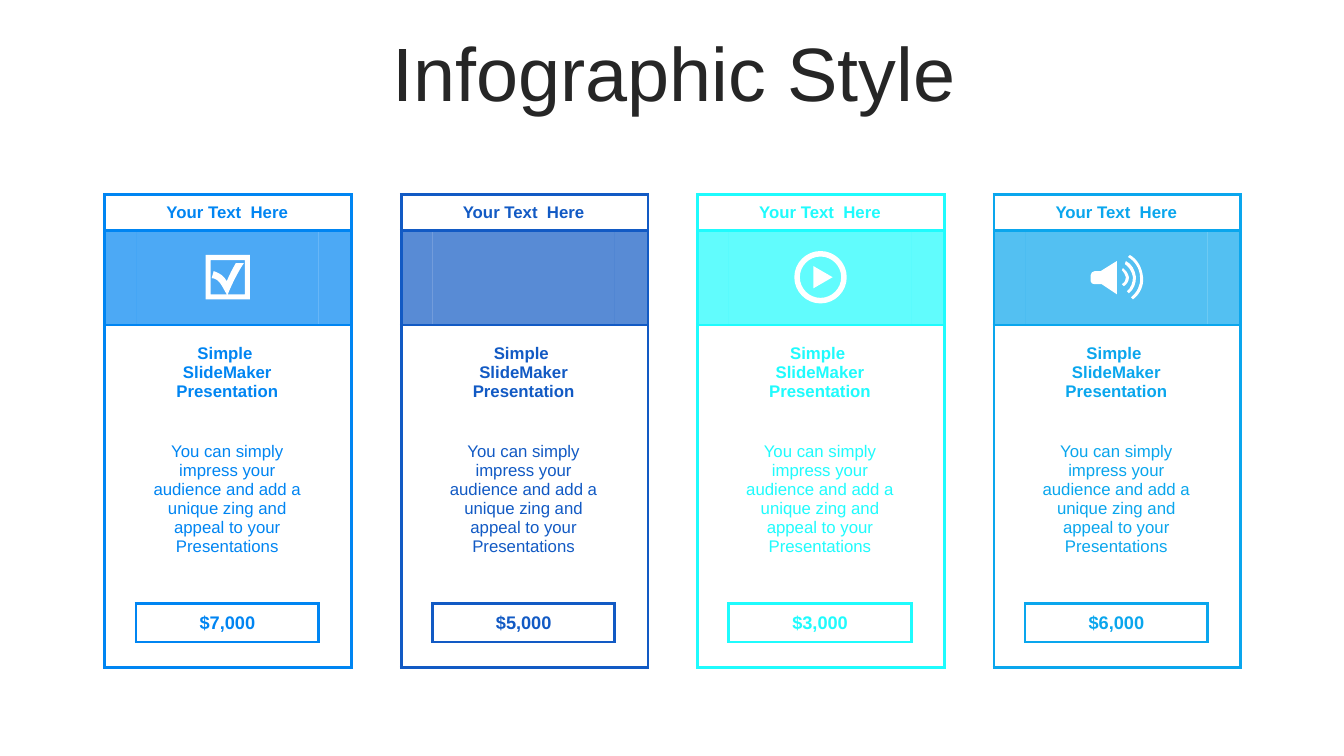
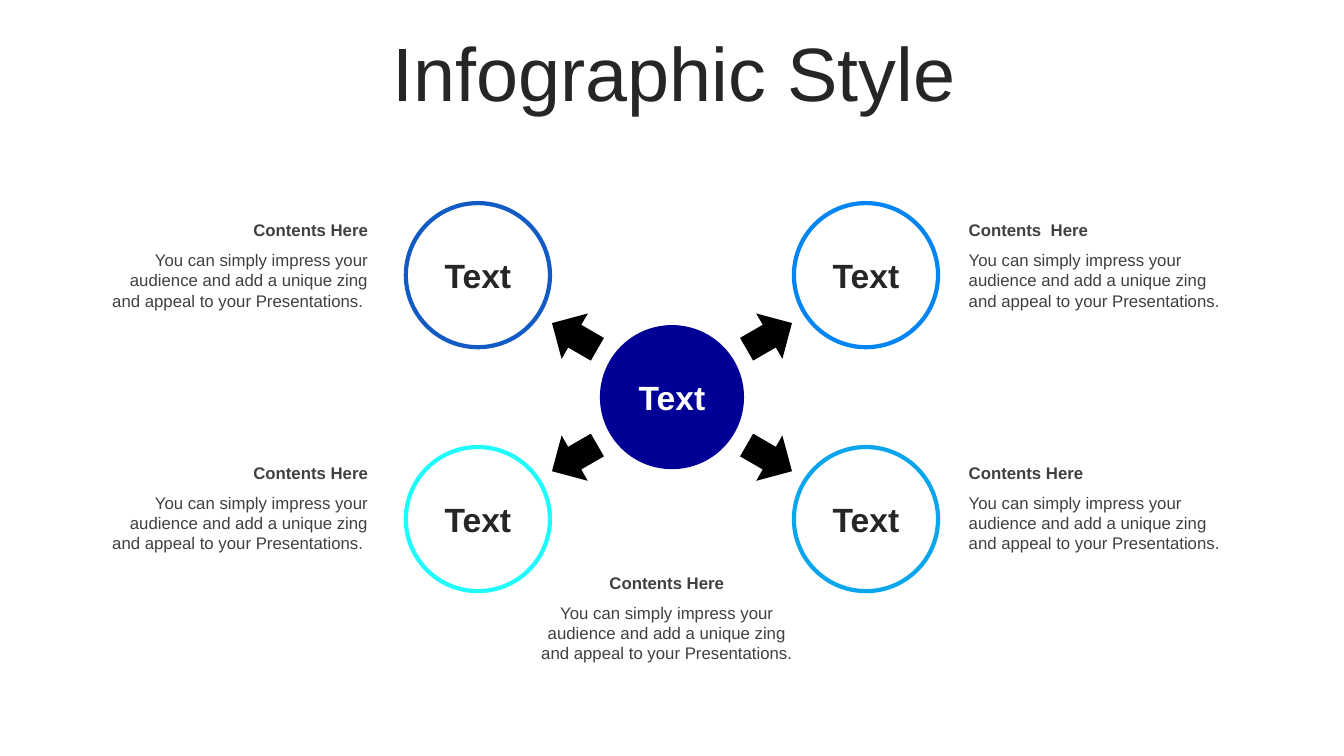
from dataclasses import dataclass
from typing import Any

from lxml.etree import Element, SubElement
from pptx import Presentation
from pptx.dml.color import RGBColor
from pptx.enum.shapes import MSO_SHAPE as Geo
from pptx.enum.text import MSO_ANCHOR as Anchor, PP_ALIGN as Align
from pptx.oxml.ns import qn
from pptx.util import Emu, Pt

# A step is an end point (x, y), or a curve: two controls and an end point.
Point = tuple[float, float]
Loop = list[tuple[float, ...]]

# All lengths count grid squares of a tenth of an inch.
SQUARE = 91440
WIDE, HIGH = 133.33, 75
FONT = "Arial"
WHITE, BLACK, INK, GREY, NAVY = "FFFFFF", "000000", "262626", "404040", "000096"
AZURE, ROYAL, CYAN, SKY = "0085F2", "125AC4", "1FFBFD", "0AA6ED"
PITCH = "You can simply impress your audience and add a unique zing and appeal to your Presentations"

CARD_LEFT, CARD_TOP, CARD_STEP = 10.4, 19.3, 29.4
CARD_COLS = (3.1, 18.1, 3.3)
CARD_ROWS = (3.55, 9.4, 9.4, 15.75, 2.5, 3.8, 2.5)
BAND_ROW, PRICE_ROW, LAST_ROW = 1, 5, 6

HUB = (WIDE / 2, 39.4)
DISC = 14.3
ARROW = 5.2


@dataclass
class Card:
    tone: str
    price: str
    icon: list[Loop]


@dataclass
class Spoke:
    """A ring around the hub, with the side (-1 or 1) it lies on in x and y."""
    tone: str
    across: int
    down: int
    turn: int
    head: str = "Contents Here"


def size(n: float) -> Emu:
    return Emu(round(n * SQUARE))


def box(*nums: float) -> list[Emu]:
    return [size(n) for n in nums]


def tint(tone: str) -> RGBColor:
    return RGBColor.from_string(tone)


def write(frame: Any, text: str, tone: str, **style: Any) -> None:
    """Fill a text frame, one paragraph a line; style may hold align and space."""
    look = {"size": Pt(12), "bold": False, "name": FONT} | style
    align = look.pop("align", Align.CENTER)
    space = look.pop("space", None)
    frame.word_wrap = True
    frame.text = text
    for para in frame.paragraphs:
        para.alignment = align
        para.line_spacing = space
        for run in para.runs:
            for key, val in look.items():
                setattr(run.font, key, val)
            run.font.color.rgb = tint(tone)


def label(slide: Any, place: list[Emu], text: str, tone: str, **style: Any) -> Any:
    frame = slide.shapes.add_textbox(*place).text_frame
    write(frame, text, tone, **style)
    return frame


def paint(shape: Any, fill: str | None = None, line: str | None = None) -> None:
    shape.shadow.inherit = False
    if fill:
        shape.fill.solid()
        shape.fill.fore_color.rgb = tint(fill)
    else:
        shape.fill.background()
    if line:
        shape.line.color.rgb = tint(line)
        shape.line.width = Pt(3)
    else:
        shape.line.fill.background()


def start(deck: Any) -> Any:
    """Add a blank slide with the shared title."""
    slide = deck.slides.add_slide(deck.slide_layouts[6])
    frame = label(slide, box(3.6, 3.7, 126.6, 7.9), "Infographic Style", INK,
                  size=Pt(54), space=0.9)
    frame.vertical_anchor = Anchor.MIDDLE
    return slide


def ring(mid: float, rad: float) -> Loop:
    """Outline a circle with four curves."""
    k = rad * 0.55
    turns = [(rad, k, k, rad, 0, rad), (-k, rad, -rad, k, -rad, 0),
             (-rad, -k, -k, -rad, 0, -rad), (k, -rad, rad, -k, rad, 0)]
    return [(mid + rad, 0)] + [
        tuple(n + mid * (i % 2 == 0) for i, n in enumerate(turn)) for turn in turns]


def check() -> list[Loop]:
    edge = [(-2.2, -2.2), (2.2, -2.2), (2.2, 2.2), (-2.2, 2.2)]
    tick = [(1.7, -1.7), (-1.7, -1.7), (-1.7, 1.7), (-0.1, 1.7),
            (-0.5, 1.1, -0.8, 0.1, -1.6, 0.1), (-1.4, -0.6),
            (-0.6, -0.3, -0.4, -0.1, -0.1, 0.4), (0.2, -0.3, 0.4, -0.7, 0.8, -1.4),
            (1.6, -1.4), (1, -0.5, 0.4, 0.7, 0, 1.7), (1.7, 1.7)]
    return [tick, edge]


def play() -> list[Loop]:
    return [[(-0.7, -1.1), (1.2, 0), (-0.7, 1.1)], ring(0, 2.05), ring(0, 2.6)]


def horn() -> list[Loop]:
    body = [(0, -1.6), (0, 1.7), (-1.5, 0.7), (-2.2, 0.7),
            (-2.4, 0.7, -2.6, 0.6, -2.6, 0.4), (-2.6, -0.2),
            (-2.6, -0.4, -2.4, -0.6, -2.2, -0.6), (-1.6, -0.6)]
    near = [(0.6, -0.9), (0.9, -0.7, 1.1, -0.4, 1.2, 0), (1.2, 0.4, 1, 0.7, 0.7, 0.9),
            (0.5, 0.7), (0.8, 0.5, 0.9, 0.3, 0.9, 0), (0.8, -0.3, 0.7, -0.5, 0.5, -0.7)]
    mid = [(0.9, -1.6), (1.5, -1.3, 1.8, -0.7, 1.9, 0), (1.9, 0.6, 1.7, 1.2, 1.2, 1.6),
           (1, 1.4), (1.4, 1.1, 1.6, 0.5, 1.6, 0), (1.5, -0.6, 1.2, -1, 0.8, -1.3)]
    far = [(1.3, -2.2), (2, -1.8, 2.5, -1, 2.6, 0), (2.7, 0.8, 2.3, 1.7, 1.6, 2.2),
           (1.4, 2), (2, 1.5, 2.4, 0.8, 2.3, 0), (2.3, -0.8, 1.8, -1.6, 1.1, -2)]
    return [near, mid, body, far]


def draw(slide: Any, loops: list[Loop], left: float, top: float) -> None:
    """Draw closed outlines, given around a centre, as one white freeform."""
    pen = None
    for loop in loops:
        dots = [(size(left + x), size(top + y))
                for step in loop for x, y in zip(step[::2], step[1::2])]
        if pen:
            pen.move_to(*dots[0])
        else:
            pen = slide.shapes.build_freeform(*dots[0], scale=1.0)
        pen.add_line_segments(dots[1:], close=True)
    shape = pen.convert_to_shape()
    paint(shape, WHITE)
    lines = iter(list(shape._element.iter(qn("a:lnTo"))))
    for step in (step for loop in loops for step in loop[1:]):
        line = next(lines)
        if len(step) == 6:
            line.tag
            curve = Element(qn("a:cubicBezTo"))
            line.addprevious(curve)
            for part in (line, next(lines), next(lines)):
                curve.append(part[0])
                part.getparent().remove(part)


def sides(row: int, col: int) -> set[str]:
    """Name the ruled sides of a cell: card edge, band and price box."""
    mid, price = col == 1, row == PRICE_ROW
    rules = {
        "L": col == 0 or price,
        "R": col == 2 or price,
        "T": row <= BAND_ROW + 1 or (mid and row in (PRICE_ROW, LAST_ROW)),
        "B": row <= BAND_ROW or row == LAST_ROW or (mid and row in (PRICE_ROW - 1, PRICE_ROW)),
    }
    return {side for side, on in rules.items() if on}


def rule(cell: Any, tone: str, ruled: set[str]) -> None:
    props = cell._tc.get_or_add_tcPr()
    for i, side in enumerate("LRTB"):
        line = Element(qn(f"a:ln{side}"), w=str(Pt(2.25)))
        if side in ruled:
            fill = SubElement(line, qn("a:solidFill"))
            SubElement(fill, qn("a:srgbClr"), val=tone)
        else:
            SubElement(line, qn("a:noFill"))
        props.insert(i, line)


def shade(cell: Any, tone: str, share: int = 100) -> None:
    cell.fill.solid()
    cell.fill.fore_color.rgb = tint(tone)
    if share < 100:
        clr = cell._tc.tcPr.find(".//" + qn("a:srgbClr"))
        SubElement(clr, qn("a:alpha"), val=str(share * 1000))


def add_card(slide: Any, card: Card, left: float) -> None:
    place = box(left, CARD_TOP, sum(CARD_COLS), sum(CARD_ROWS))
    table = slide.shapes.add_table(len(CARD_ROWS), len(CARD_COLS), *place).table
    table.first_row = table.horz_banding = False
    plain = "{2D5ABB26-0587-4C30-8999-92F81FD0307C}"
    table._tbl.tblPr.find(qn("a:tableStyleId")).text = plain
    for col, wide in zip(table.columns, CARD_COLS):
        col.width = size(wide)
    for row, high in zip(table.rows, CARD_ROWS):
        row.height = size(high)
    bold = {"bold": True}
    texts = {
        0: ("Your Text  Here", bold),
        2: ("Simple \nSlideMaker Presentation", bold),
        3: (PITCH, {}),
        PRICE_ROW: (card.price, bold | {"size": Pt(13)}),
    }
    margins = {"margin_left": 0.8, "margin_right": 0.8, "margin_top": 0.4, "margin_bottom": 0.4}
    for r in range(len(CARD_ROWS)):
        for c in range(len(CARD_COLS)):
            cell = table.cell(r, c)
            cell.vertical_anchor = Anchor.MIDDLE
            for key, val in margins.items():
                setattr(cell, key, size(val))
            if r == BAND_ROW:
                shade(cell, card.tone, 70)
            else:
                shade(cell, WHITE)
            rule(cell, card.tone, sides(r, c))
            if c == 1 and r in texts:
                text, style = texts[r]
                write(cell.text_frame, text, card.tone, **style)
            else:
                para = cell.text_frame.paragraphs[0]._p
                SubElement(para, qn("a:endParaRPr"), sz="600")
    if card.icon:
        draw(slide, card.icon, left + 12.2, CARD_TOP + 8.2)


def add_shape(slide: Any, geo: Geo, mid: Point, side: float, fill: str | None = None,
              line: str | None = None) -> Any:
    """Add a square preset shape around a centre."""
    place = box(mid[0] - side / 2, mid[1] - side / 2, side, side)
    shape = slide.shapes.add_shape(geo, *place)
    paint(shape, fill, line)
    return shape


def add_disc(slide: Any, mid: Point, ink: str, **look: str) -> None:
    disc = add_shape(slide, Geo.OVAL, mid, DISC, **look)
    disc.text_frame.vertical_anchor = Anchor.MIDDLE
    write(disc.text_frame, "Text", ink, size=Pt(24), bold=True)


def add_note(slide: Any, left: float, top: float, wide: float, head: str, align: Align) -> None:
    margins = {"margin_left": 0, "margin_right": 1, "margin_top": 0.5, "margin_bottom": 0.5}
    end = "." if align == Align.LEFT else ". "
    for drop, high, text, bold in ((0, 3, head, True), (3, 7.1, PITCH + end, False)):
        frame = label(slide, box(left, top + drop, wide, high), text, GREY, align=align, bold=bold)
        for key, val in margins.items():
            setattr(frame, key, size(val))


def add_spoke(slide: Any, spoke: Spoke) -> None:
    def out(x: float, y: float) -> Point:
        return HUB[0] + spoke.across * x, HUB[1] + spoke.down * y

    add_disc(slide, out(19.25, 12.1), INK, line=spoke.tone)
    arrow = add_shape(slide, Geo.UP_ARROW, out(9.65, 6.05), ARROW, BLACK)
    arrow.rotation = spoke.turn
    left, align = (96.1, Align.LEFT) if spoke.across > 0 else (9.7, Align.RIGHT)
    add_note(slide, left, out(0, 12.05)[1] - 6.05, 27.8, spoke.head, align)


def main() -> None:
    deck = Presentation()
    deck.slide_width, deck.slide_height = box(WIDE, HIGH)

    prices = start(deck)
    cards = [Card(AZURE, "$7,000", check()), Card(ROYAL, "$5,000", []),
             Card(CYAN, "$3,000", play()), Card(SKY, "$6,000", horn())]
    for i, card in enumerate(cards):
        add_card(prices, card, CARD_LEFT + i * CARD_STEP)

    wheel = start(deck)
    add_disc(wheel, HUB, WHITE, fill=NAVY)
    spokes = [Spoke(AZURE, 1, -1, 60, "Contents  Here"), Spoke(SKY, 1, 1, 120),
              Spoke(ROYAL, -1, -1, 300), Spoke(CYAN, -1, 1, 240)]
    for spoke in spokes:
        add_spoke(wheel, spoke)
    add_note(wheel, 53.5, 56.3, 26.3, "Contents Here", Align.CENTER)

    deck.save("out.pptx")


if __name__ == "__main__":
    main()
